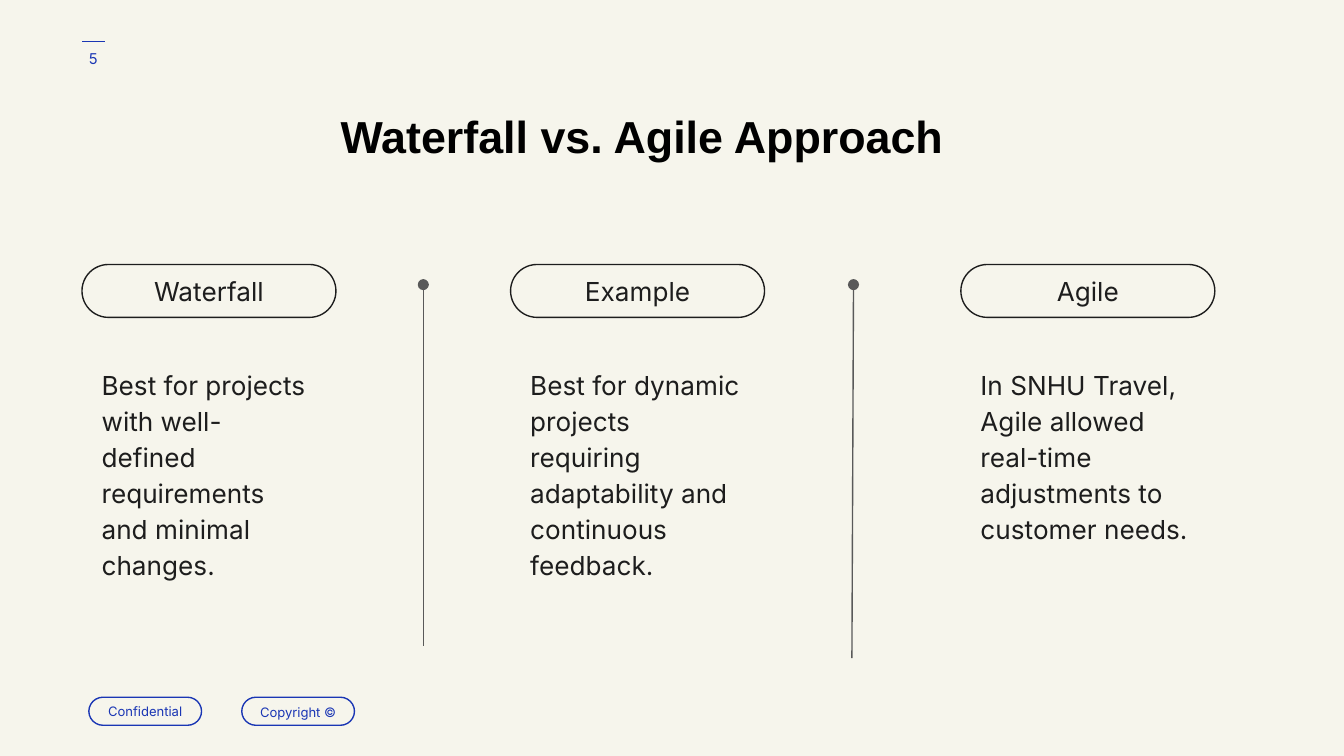
from pptx import Presentation
from pptx.dml.color import RGBColor
from pptx.enum.shapes import MSO_CONNECTOR as Connector, MSO_SHAPE as Shape
from pptx.enum.text import MSO_ANCHOR as Anchor, MSO_AUTO_SIZE as AutoSize, PP_ALIGN as Align
from pptx.oxml.ns import qn
from pptx.util import Cm, Pt
from lxml.etree import SubElement

PAPER, BLUE, INK, GREY, BLACK = "F6F5EC", "1A36B4", "1D1D1D", "595959", "000000"
COMPARISON_LAYOUT = 4

APPROACHES = [
    (1.55, "Waterfall", "Best for projects with well-defined requirements and minimal changes."),
    (9.65, "Example", "Best for dynamic projects requiring adaptability and continuous feedback."),
    (18.16, "Agile", "In SNHU Travel, Agile allowed real-time adjustments to customer needs."),
]
NOTICES = [(1.68, "Confidential", 1.0), (4.57, "Copyright ©", 1.15)]
DIVIDERS = [(8.0, 8.0, 12.21), (16.13, 16.1, 12.44)]


def color(hex_code):
    return RGBColor.from_string(hex_code)


class SlideBuilder:
    font = "Inter"
    inset = Cm(0.25)
    stroke = Pt(0.75)

    def __init__(self, slide):
        self.slide = slide
        background = slide.background.fill
        background.solid()
        background.fore_color.rgb = color(PAPER)

    def add_text(self, shape, text, size, ink, font=None, bold=False,
                 align=Align.CENTER, anchor=Anchor.MIDDLE, spacing=1.0):
        frame = shape.text_frame
        frame.auto_size = AutoSize.NONE
        frame.word_wrap = True
        frame.vertical_anchor = anchor
        frame.margin_left = frame.margin_right = self.inset
        frame.margin_top = frame.margin_bottom = self.inset
        paragraph = frame.paragraphs[0]
        paragraph.alignment = align
        paragraph.line_spacing = spacing
        paragraph.space_before = Pt(0)
        run = paragraph.add_run()
        run.text = text
        run.font.name = font or self.font
        run.font.size = Pt(size)
        run.font.bold = bold
        run.font.color.rgb = color(ink)
        return paragraph

    def place(self, shape, left, top, width, height):
        shape.left, shape.top = Cm(left), Cm(top)
        shape.width, shape.height = Cm(width), Cm(height)

    def title(self, text, *box):
        heading = self.slide.shapes.title
        self.place(heading, *box)
        self.add_text(heading, text, 24, BLACK, font="Arial", bold=True,
                      anchor=Anchor.TOP, spacing=1.15)

    def body(self, placeholder, text, *box):
        self.place(placeholder, *box)
        paragraph = self.add_text(placeholder, text, 14, INK, align=Align.LEFT,
                                  anchor=Anchor.TOP, spacing=1.15)
        properties = paragraph._p.get_or_add_pPr()
        properties.set("marL", "0")
        properties.set("indent", "0")
        SubElement(properties, qn("a:buNone"))

    def pill(self, text, size, ink, *box, spacing=1.0):
        """Draw an unfilled, fully rounded label."""
        pill = self.slide.shapes.add_shape(Shape.ROUNDED_RECTANGLE, *map(Cm, box))
        pill.adjustments[0] = 0.5
        pill.shadow.inherit = False
        pill.fill.background()
        pill.line.color.rgb = color(ink)
        pill.line.width = self.stroke
        self.add_text(pill, text, size, ink, spacing=spacing)

    def label(self, text, size, ink, *box):
        self.add_text(self.slide.shapes.add_textbox(*map(Cm, box)), text, size, ink)

    def line(self, ink, *ends, dotted_start=False):
        """Draw a line, with a round dot at its start if asked."""
        line = self.slide.shapes.add_connector(Connector.STRAIGHT, *map(Cm, ends))
        line.line.color.rgb = color(ink)
        line.line.width = self.stroke
        properties = line._element.spPr
        SubElement(properties, qn("a:effectLst"))
        if dotted_start:
            SubElement(properties.find(qn("a:ln")), qn("a:headEnd"), type="oval")


def main():
    deck = Presentation()
    deck.slide_width, deck.slide_height = Cm(25.4), Cm(14.29)
    slide = deck.slides.add_slide(deck.slide_layouts[COMPARISON_LAYOUT])
    builder = SlideBuilder(slide)

    builder.line(BLUE, 1.98, 0.78, 1.55, 0.78)
    builder.label("5", 8, BLUE, 1.17, 0.56, 1.19, 1.09)
    builder.title("Waterfall vs. Agile Approach", 2.59, 1.65, 19.08, 2.9)

    bodies = list(slide.placeholders)[1:]
    for placeholder, (left, name, summary) in zip(bodies, APPROACHES):
        builder.pill(name, 14, INK, left, 5, 4.8, 1)
        builder.body(placeholder, summary, left + 0.12, 6.65, 4.55, 4.78)
    for unused in bodies[len(APPROACHES):]:
        unused._element.getparent().remove(unused._element)

    for top_x, bottom_x, bottom in DIVIDERS:
        builder.line(GREY, top_x, 5.38, bottom_x, bottom, dotted_start=True)
    for left, notice, spacing in NOTICES:
        builder.pill(notice, 7, BLUE, left, 13.18, 2.13, 0.53, spacing=spacing)

    deck.save("out.pptx")


if __name__ == "__main__":
    main()
